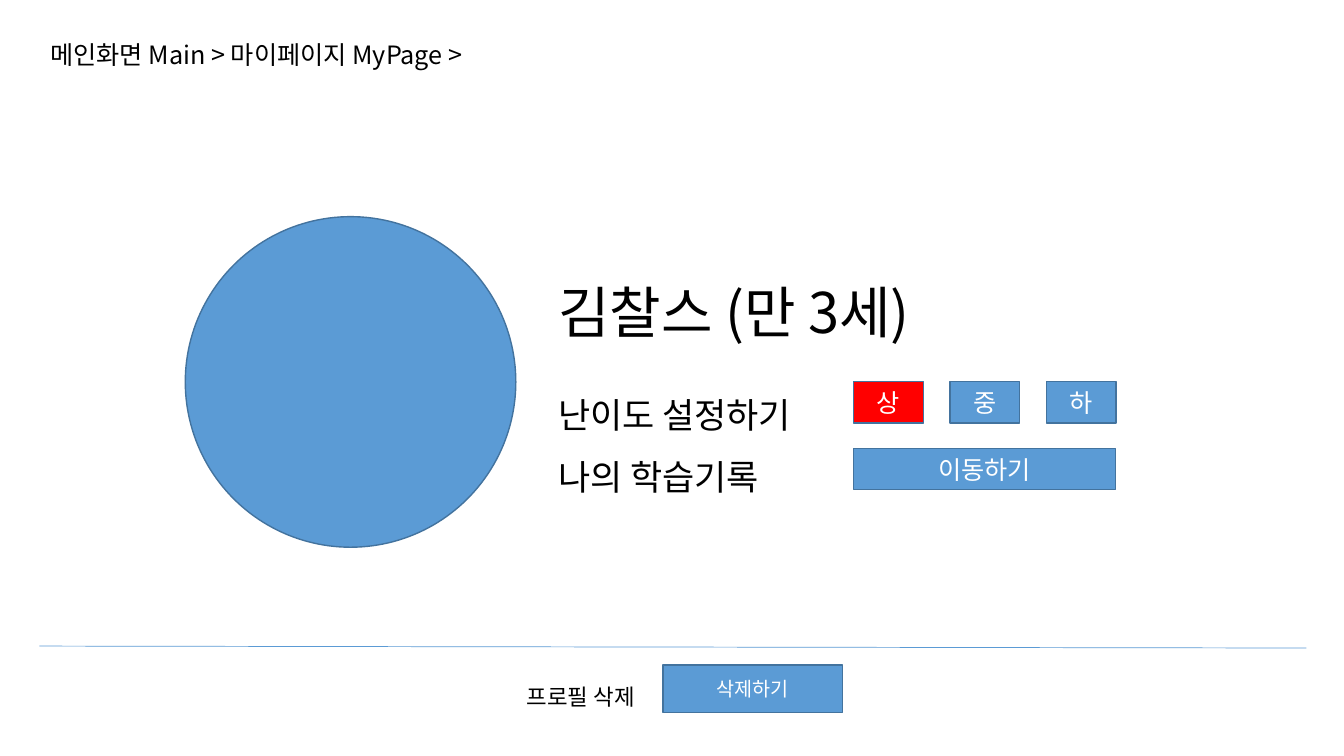
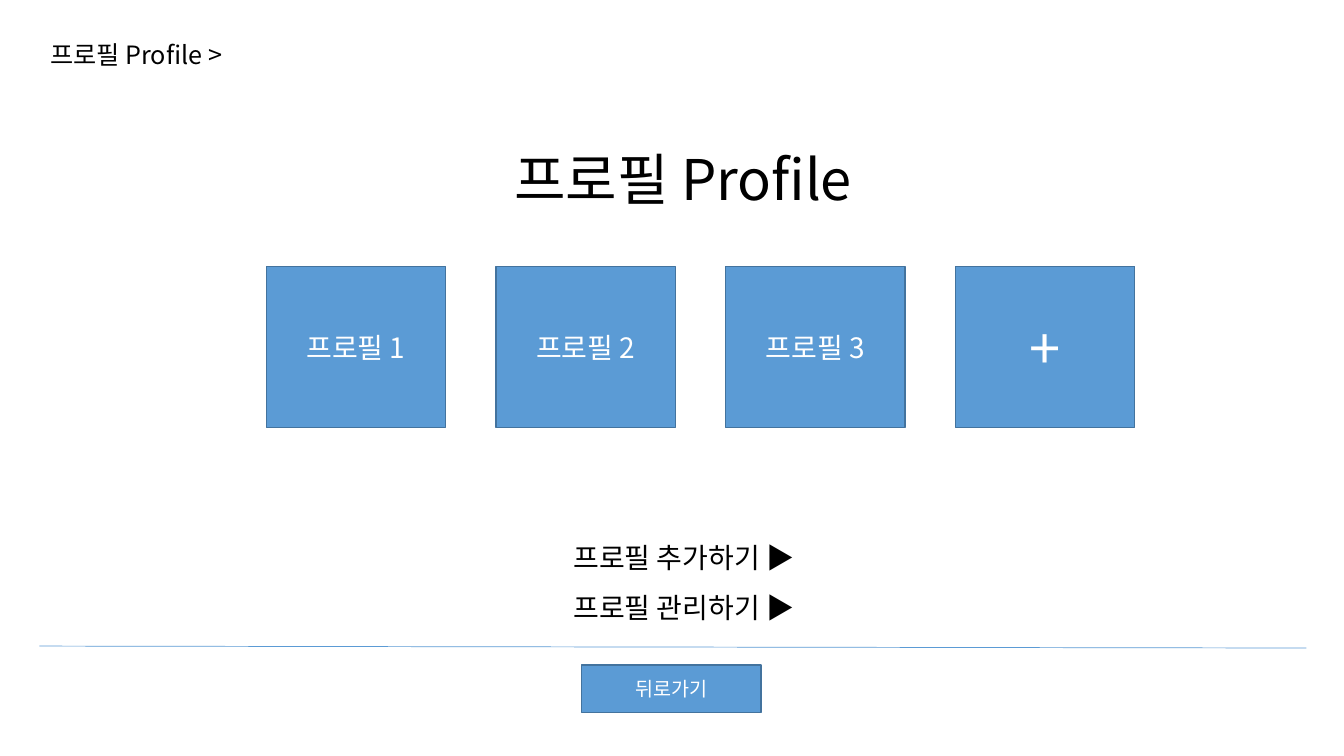
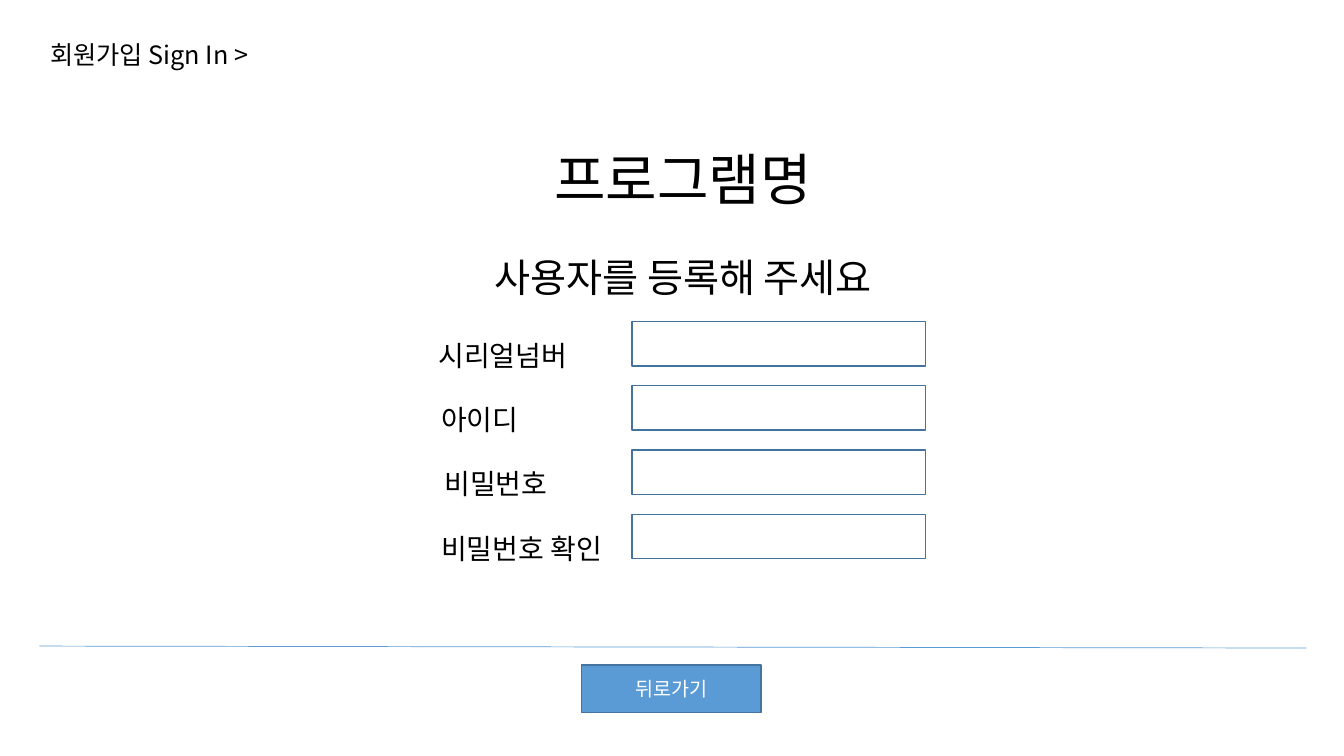
from lxml.etree import SubElement
from pptx import Presentation
from pptx.dml.color import RGBColor
from pptx.enum.shapes import MSO_CONNECTOR as Connector, MSO_SHAPE as Shape
from pptx.enum.text import MSO_ANCHOR as Anchor, MSO_AUTO_SIZE as AutoSize, PP_ALIGN as Align
from pptx.oxml.ns import qn
from pptx.util import Cm, Pt


def colour(value):
    return RGBColor.from_string(value)


class Wireframe:
    """Shared style and the page being drawn; lengths are in centimetres."""
    FONT = "Noto Sans CJK KR"
    INK, PAPER = "000000", "FFFFFF"
    BLUE, EDGE, RED = "5B9BD5", "43739E", "FF0000"
    BUTTON_TOP, BUTTON_WIDTH, BUTTON_HEIGHT = 16.76, 4.52, 1.19

    def __init__(self):
        self.deck = Presentation()
        self.deck.slide_width, self.deck.slide_height = Cm(33.87), Cm(19.05)
        self.page = None

    def start(self, trail):
        """Add a page with its breadcrumb trail and the rule above the footer."""
        self.page = self.deck.slides.add_slide(self.deck.slide_layouts[5])
        self.text(trail, 1.02, 0.86, 23.4, 1.02, 18)
        rule = self.page.shapes.add_connector(
            Connector.STRAIGHT, Cm(0.99), Cm(16.28), Cm(32.92), Cm(16.33))
        rule.line.color.rgb = colour(self.BLUE)
        rule.line.width = Pt(0.5)
        SubElement(rule.element.spPr, qn("a:effectLst"))

    def set_words(self, box, content, size, ink, align, spacing=1.0):
        frame = box.text_frame
        frame.text = content
        frame.word_wrap = True
        for para in frame.paragraphs:
            para.alignment = align
            para.line_spacing = spacing
            for span in para.runs:
                span.font.name = self.FONT
                span.font.size = Pt(size)
                span.font.color.rgb = colour(ink)
                east_asian = SubElement(span.font._element, qn("a:ea"))
                east_asian.set("typeface", self.FONT)

    def fit(self, box, content, size, align, spacing):
        self.set_words(box, content, size, self.INK, align, spacing)
        box.text_frame.auto_size = AutoSize.SHAPE_TO_FIT_TEXT
        box.text_frame.vertical_anchor = Anchor.TOP
        return box

    def text(self, content, left, top, width, height, size, align=Align.LEFT, spacing=1.0):
        box = self.page.shapes.add_textbox(Cm(left), Cm(top), Cm(width), Cm(height))
        return self.fit(box, content, size, align, spacing)

    def title(self, content, left=4.11, top=2.67, width=26.21, height=2.62,
              align=Align.CENTER, spacing=1.5):
        box = self.page.shapes.title
        box.left, box.top, box.width, box.height = map(Cm, (left, top, width, height))
        return self.fit(box, content, 40, align, spacing)

    def shape(self, left, top, width, height, fill=BLUE, kind=Shape.RECTANGLE):
        box = self.page.shapes.add_shape(kind, Cm(left), Cm(top), Cm(width), Cm(height))
        box.shadow.inherit = False
        if fill:
            box.fill.solid()
            box.fill.fore_color.rgb = colour(fill)
        else:
            box.fill.background()
        box.line.color.rgb = colour(self.EDGE)
        box.line.width = Pt(1)
        return box

    def button(self, label, left, top, width, height, size, fill=BLUE):
        box = self.shape(left, top, width, height, fill)
        self.set_words(box, label, size, self.PAPER, Align.CENTER)
        box.text_frame.vertical_anchor = Anchor.MIDDLE

    def footer_button(self, label, left=14.66):
        self.button(label, left, self.BUTTON_TOP, self.BUTTON_WIDTH, self.BUTTON_HEIGHT, 14)


frame = Wireframe()

# My page: avatar, name, settings
frame.start("메인화면 Main > 마이페이지 MyPage >")
frame.title("김찰스 (만 3세)", 13.82, 6.86, 14.71, 1.96, Align.LEFT, 1.0)
frame.shape(4.67, 5.46, 8.33, 8.33, kind=Shape.OVAL)
frame.text("난이도 설정하기\n나의 학습기록", 13.82, 9.25, 8.64, 3.45, 25, spacing=1.5)
for index, level in enumerate("상중하"):
    fill = frame.RED if level == "상" else frame.BLUE
    frame.button(level, 21.51 + index * 2.43, 9.62, 1.76, 1.04, 18, fill)
frame.button("이동하기", 21.51, 11.3, 6.6, 1.04, 18)
frame.text("프로필 삭제", 13.03, frame.BUTTON_TOP, 3.4, frame.BUTTON_HEIGHT, 16, spacing=1.5)
frame.footer_button("삭제하기", 16.71)

# Profile choice: four cards and two links
frame.start("프로필 Profile >")
frame.title("프로필 Profile")
cards = [("프로필 1", 20), ("프로필 2", 20), ("프로필 3", 20), ("+", 40)]
for index, (label, size) in enumerate(cards):
    frame.button(label, 6.71 + index * 5.79, 6.71, 4.52, 4.06, size)
frame.text("프로필 추가하기 ▶\n프로필 관리하기 ▶", 9.17, 13.06, 16.13, 2.82, 20,
           Align.CENTER, 1.5)
frame.footer_button("뒤로가기")

# Registration: heading and form
frame.start("회원가입 Sign In >")
heading = frame.title("프로그램명\n사용자를 등록해 주세요", height=5.13)
prompt = heading.text_frame.paragraphs[1]
prompt.space_before = Pt(13)
prompt.runs[0].font.size = Pt(28)
fields = [("시리얼넘버", 10.8), ("아이디", 10.87), ("비밀번호", 10.95), ("비밀번호 확인", 10.87)]
for index, (label, left) in enumerate(fields):
    top = 8.1 + index * 1.62
    frame.text(label, left, top - 0.12, 5.72, 1.55, 20, spacing=1.5)
    frame.shape(15.93, top, 7.39, 1.12, fill=None)
frame.footer_button("뒤로가기")

frame.deck.save("out.pptx")
